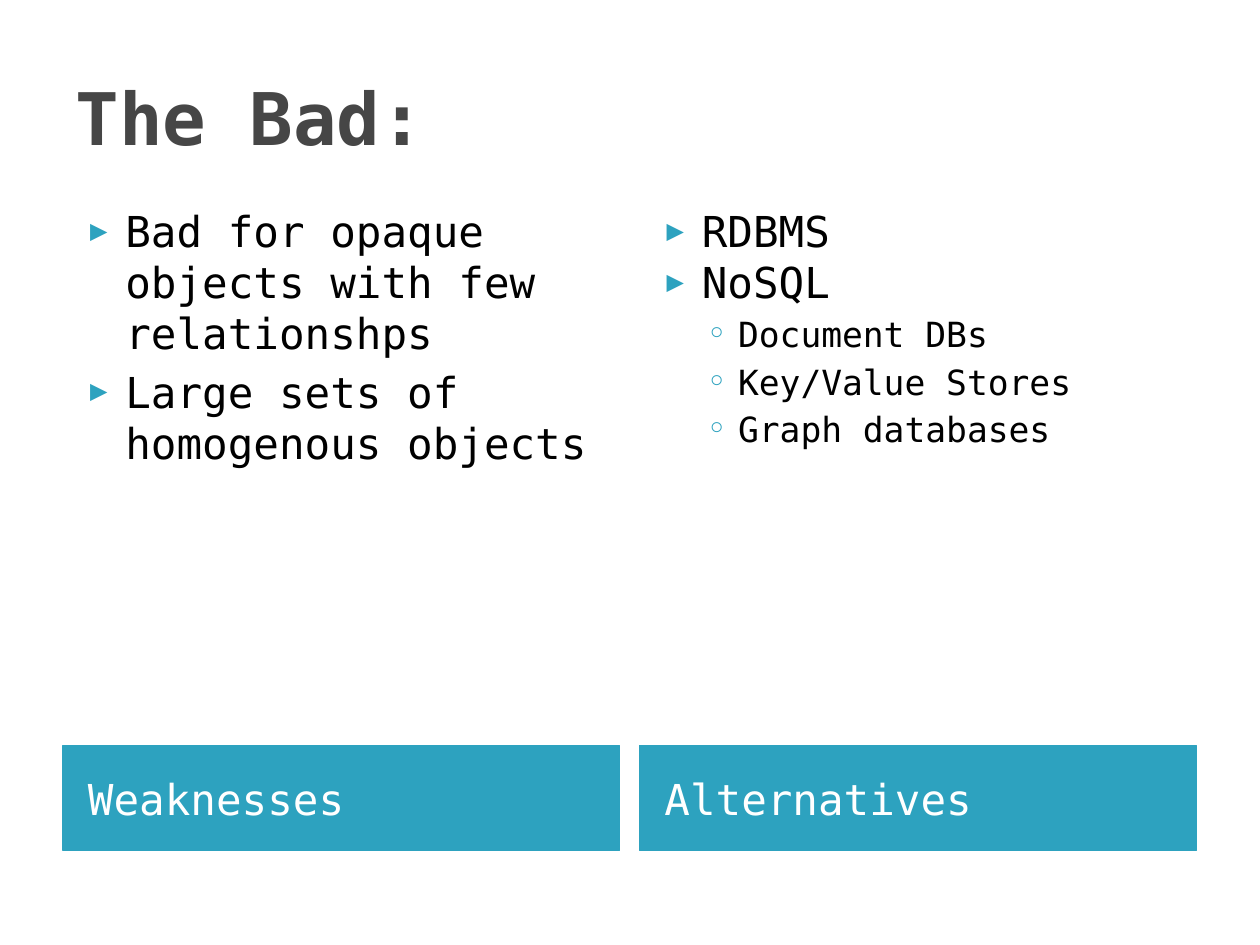
from lxml.etree import SubElement
from pptx import Presentation
from pptx.dml.color import RGBColor
from pptx.enum.text import MSO_ANCHOR as Anchor, MSO_AUTO_SIZE as AutoSize, PP_ALIGN as Align
from pptx.oxml.ns import qn
from pptx.util import Inches, Pt

COLORS = {"accent": "2DA2BF", "title": "464646", "text": "000000", "light": "FFFFFF"}
FONT = "DejaVu Sans Mono"
LEVELS = [
    {"size": 27, "margin": 0.44, "hang": 0.31, "bullet": "▶", "scale": 68},
    {"size": 22, "margin": 0.76, "hang": 0.28, "bullet": "◦", "scale": 100},
]
LEFT, WIDTH, COLUMN, STEP = 5, 90, 44.2, 45.75
TITLE_ROWS, LIST_ROWS, BAR_ROWS = (4, 16.7), (21, 57.5), (78.9, 11.1)
SIDES = [
    ("Weaknesses", [
        ("Bad for opaque objects with few relationshps", 0, 0),
        ("Large sets of homogenous objects", 0, 4.4),
    ]),
    ("Alternatives", [
        ("RDBMS", 0, 0),
        ("NoSQL", 0, 0),
        ("Document DBs", 1, 3.6),
        ("Key/Value Stores", 1, 3.6),
        ("Graph databases", 1, 3.6),
    ]),
]


class SlideBuilder:
    def __init__(self, deck):
        self.deck = deck
        self.page = deck.slides.add_slide(deck.slide_layouts[4])

    def place(self, index, left, width, rows, anchor, inset=0.11):
        box = self.page.placeholders[index]
        column, row = self.deck.slide_width / 100, self.deck.slide_height / 100
        top, height = rows
        box.left, box.width = round(left * column), round(width * column)
        box.top, box.height = round(top * row), round(height * row)
        frame = box.text_frame
        frame.auto_size, frame.word_wrap = AutoSize.NONE, True
        frame.vertical_anchor = anchor
        frame.margin_left, frame.margin_right = Inches(inset), Inches(0.11)
        frame.margin_top = frame.margin_bottom = Inches(0.06)
        return box

    def add_text(self, para, text, size, color, bold=False, before=0):
        para.alignment = Align.LEFT
        para.space_before = Pt(before)
        span = para.add_run()
        span.text = text
        span.font.name, span.font.size, span.font.bold = FONT, Pt(size), bold
        span.font.color.rgb = RGBColor.from_string(COLORS[color])

    def add_title(self, text):
        box = self.place(0, LEFT, WIDTH, TITLE_ROWS, Anchor.MIDDLE)
        self.add_text(box.text_frame.paragraphs[0], text, 46, "title", bold=True)

    def add_bar(self, index, left, text):
        box = self.place(index, left, COLUMN, BAR_ROWS, Anchor.MIDDLE, inset=0.22)
        accent = RGBColor.from_string(COLORS["accent"])
        box.fill.solid()
        box.fill.fore_color.rgb = accent
        box.line.color.rgb = accent
        box.line.width = Pt(0.75)
        self.add_text(box.text_frame.paragraphs[0], text, 27, "light")

    def add_bullet(self, para, style):
        props = para._p.get_or_add_pPr()
        props.set("marL", str(Inches(style["margin"])))
        props.set("indent", str(-Inches(style["hang"])))
        color = SubElement(props, qn("a:buClr"))
        SubElement(color, qn("a:srgbClr"), val=COLORS["accent"])
        SubElement(props, qn("a:buSzPct"), val=str(style["scale"] * 1000))
        SubElement(props, qn("a:buFont"), typeface=FONT)
        SubElement(props, qn("a:buChar"), char=style["bullet"])

    def add_list(self, index, left, items):
        frame = self.place(index, left, COLUMN, LIST_ROWS, Anchor.TOP).text_frame
        for number, (text, level, before) in enumerate(items):
            para = frame.add_paragraph() if number else frame.paragraphs[0]
            para.level = level
            style = LEVELS[level]
            self.add_bullet(para, style)
            self.add_text(para, text, style["size"], "text", before=before)


def main():
    deck = Presentation()
    deck.slide_width, deck.slide_height = Inches(11.11), Inches(8.33)
    slide = SlideBuilder(deck)
    slide.add_title("The Bad:")
    for side, (heading, items) in enumerate(SIDES):
        left = LEFT + side * STEP
        slide.add_bar(1 + 2 * side, left, heading)
        slide.add_list(2 + 2 * side, left, items)
    deck.save("out.pptx")


if __name__ == "__main__":
    main()
